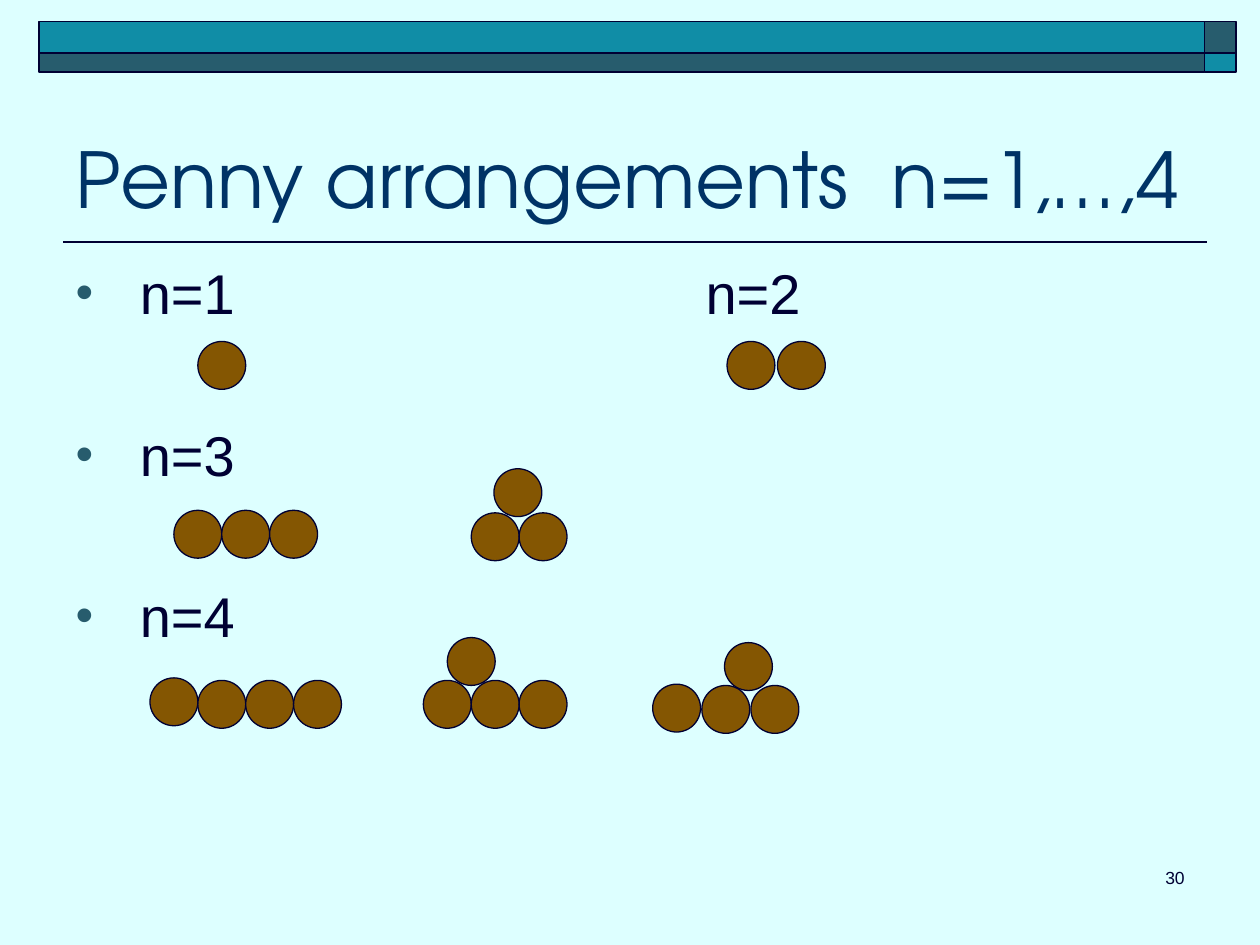
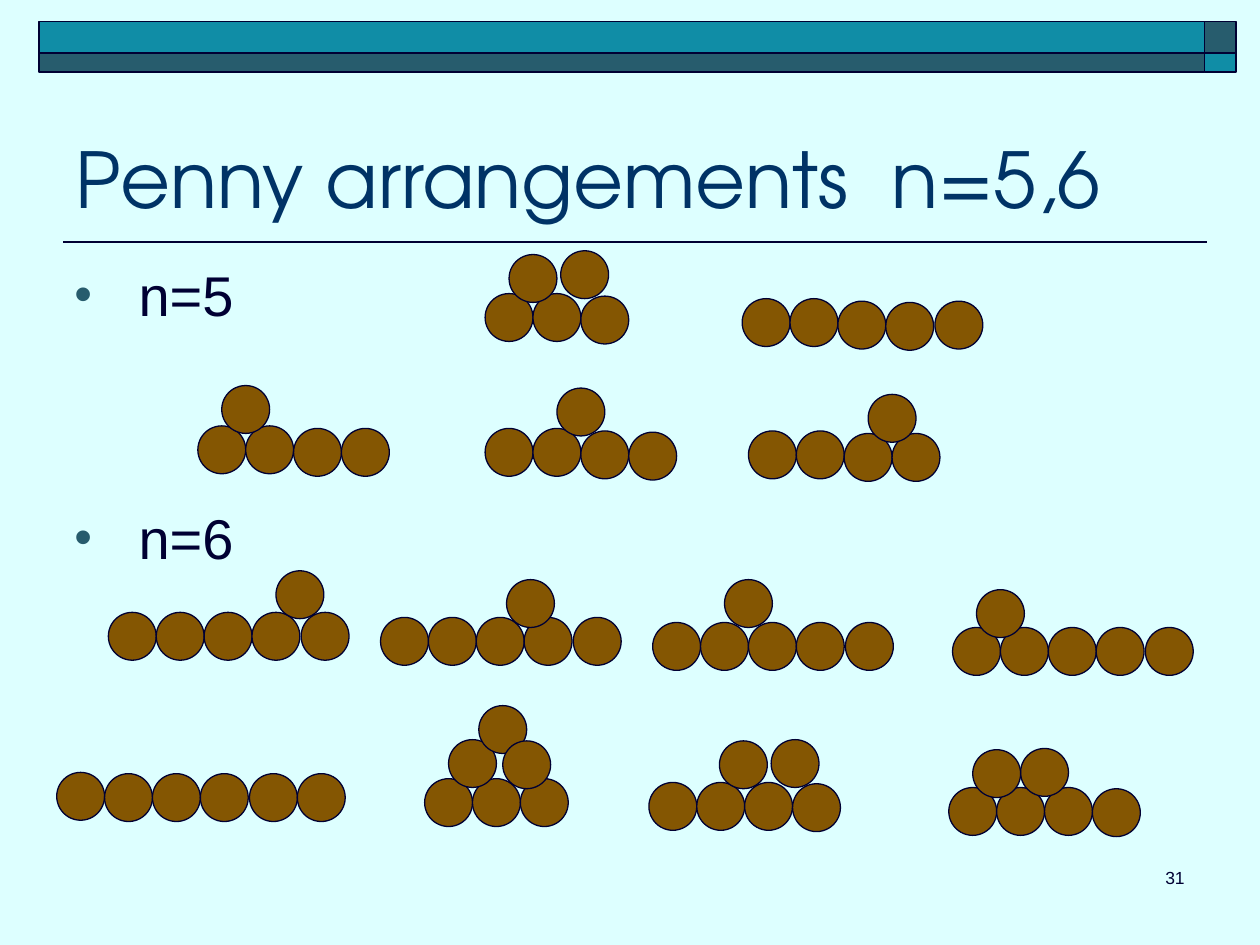
from dataclasses import dataclass

from lxml import etree
from pptx import Presentation
from pptx.dml.color import RGBColor
from pptx.enum.shapes import MSO_CONNECTOR, MSO_SHAPE
from pptx.enum.text import MSO_ANCHOR, MSO_AUTO_SIZE, PP_ALIGN
from pptx.oxml.ns import qn
from pptx.util import Pt

RECTANGLE = MSO_SHAPE.RECTANGLE
OVAL = MSO_SHAPE.OVAL
STRAIGHT = MSO_CONNECTOR.STRAIGHT
BOTTOM = MSO_ANCHOR.BOTTOM
TOP = MSO_ANCHOR.TOP
LEFT = PP_ALIGN.LEFT
RIGHT = PP_ALIGN.RIGHT
NO_FIT = MSO_AUTO_SIZE.NONE
TITLE_AND_CONTENT = 1
EMU_PER_PX = 9144


@dataclass(frozen=True)
class Theme:
    background: str = "DDFFFF"
    ink: str = "000033"
    title: str = "003366"
    bright: str = "108DA6"
    dark: str = "275C6D"
    penny: str = "845602"
    title_font: str = "TeX Gyre Adventor"
    body_font: str = "Arial"
    title_size: int = 44
    body_size: int = 32
    number_size: int = 10
    frame_line: float = 1
    penny_line: float = 0.75


@dataclass(frozen=True)
class Box:
    left: int
    top: int
    width: int
    height: int


@dataclass(frozen=True)
class Arrangement:
    left: int
    top: int
    drops: tuple
    raised: tuple = ()
    four_gaps: int = 153


THEME = Theme()
PAGE = Box(0, 0, 1000, 750)
BAND = Box(31, 17, 950, 40)
RULE = Box(50, 192, 908, 0)
TITLE = Box(50, 58, 923, 125)
FIELD = Box(50, 200, 900, 470)
NUMBER = Box(742, 683, 208, 50)
CORNER = 25
PENNY = 38
INDENT = 51
SECOND_COLUMN = 500
BODY_TOP_MARGIN = 5

SMALL_ARRANGEMENTS = (
    Arrangement(107, 71, (0,)),
    Arrangement(527, 71, (0, 0), four_gaps=160),
    Arrangement(88, 205, (0, 0, 0)),
    Arrangement(324, 207, (0, 0), ((18, -35),)),
    Arrangement(69, 338, (0, 2, 2, 2)),
    Arrangement(286, 340, (0, 0, 0), ((19, -34),)),
    Arrangement(468, 343, (0, 1, 1), ((57, -33),), four_gaps=156),
)
LARGE_ARRANGEMENTS = (
    Arrangement(335, 33, (0, 0, 2), ((60, -34), (19, -31))),
    Arrangement(539, 37, (0, 0, 2, 3, 2)),
    Arrangement(107, 138, (0, 0, 2, 2), ((19, -32),)),
    Arrangement(335, 140, (0, 0, 2, 3), ((57, -32),)),
    Arrangement(544, 142, (0, 0, 2, 2), ((95, -29),)),
    Arrangement(36, 286, (0, 0, 0, 0, 0), ((133, -33),)),
    Arrangement(252, 290, (0, 0, 0, 0, 0), ((100, -30),)),
    Arrangement(468, 294, (0, 0, 0, 0, 0), ((57, -34),)),
    Arrangement(706, 298, (0, 0, 0, 0, 0), ((19, -30),)),
    Arrangement(-5, 413, (0, 1, 1, 1, 1, 1)),
    Arrangement(287, 418, (0, 0, 0), ((19, -31), (43, -58), (62, -30))),
    Arrangement(465, 421, (0, 0, 0, 1), ((97, -34), (56, -33))),
    Arrangement(703, 425, (0, 0, 0, 1), ((57, -31), (19, -30))),
)


def px(length):
    return length * EMU_PER_PX


def edges(box):
    return px(box.left), px(box.top), px(box.width), px(box.height)


def color(code):
    return RGBColor.from_string(code)


def move(shape, box):
    shape.left, shape.top, shape.width, shape.height = edges(box)


def format_spans(para, font_name, size, code):
    for span in para.runs:
        span.font.name = font_name
        span.font.size = Pt(size)
        span.font.color.rgb = color(code)


def add_solid(page, kind, box, fill, line_width):
    shape = page.shapes.add_shape(kind, *edges(box))
    shape.shadow.inherit = False
    shape.fill.solid()
    shape.fill.fore_color.rgb = color(fill)
    shape.line.color.rgb = color(THEME.ink)
    shape.line.width = Pt(line_width)


def add_band(page, box):
    long_side = box.width - CORNER
    columns = ((box.left, long_side), (box.left + long_side, CORNER))
    rows = ((box.top, CORNER), (box.top + CORNER, box.height - CORNER))
    for row, (top, height) in enumerate(rows):
        for column, (left, width) in enumerate(columns):
            fill = THEME.bright if row == column else THEME.dark
            add_solid(page, RECTANGLE, Box(left, top, width, height), fill, THEME.frame_line)


def add_rule(page, box):
    left, top, width, height = edges(box)
    rule = page.shapes.add_connector(STRAIGHT, left, top, left + width, top + height)
    rule.line.color.rgb = color(THEME.ink)
    rule.line.width = Pt(THEME.frame_line)
    etree.SubElement(rule._element.spPr, qn("a:effectLst"))


def fill_title(page, box, text):
    title = page.shapes.title
    move(title, box)
    frame = title.text_frame
    frame.text = text
    frame.auto_size = NO_FIT
    frame.vertical_anchor = BOTTOM
    para = frame.paragraphs[0]
    para.alignment = LEFT
    format_spans(para, THEME.title_font, THEME.title_size, THEME.title)


def add_bullet(para):
    properties = para._p.get_or_add_pPr()
    properties.set("marL", str(px(INDENT)))
    properties.set("indent", str(-px(INDENT)))
    bullet_color = etree.SubElement(properties, qn("a:buClr"))
    etree.SubElement(bullet_color, qn("a:srgbClr"), val=THEME.dark)
    etree.SubElement(properties, qn("a:buSzPct"), val="90000")
    etree.SubElement(properties, qn("a:buFont"), typeface=THEME.body_font)
    etree.SubElement(properties, qn("a:buChar"), char="•")
    tabs = etree.SubElement(properties, qn("a:tabLst"))
    etree.SubElement(tabs, qn("a:tab"), pos=str(px(SECOND_COLUMN)), algn="l")


def fill_labels(page, box, labels, gap):
    body = page.placeholders[1]
    move(body, box)
    frame = body.text_frame
    frame.text = "\n".join(labels)
    frame.auto_size = NO_FIT
    frame.vertical_anchor = TOP
    frame.margin_top = px(BODY_TOP_MARGIN)
    for index, para in enumerate(frame.paragraphs):
        add_bullet(para)
        para.space_before = Pt(gap if index else 0)
        format_spans(para, THEME.body_font, THEME.body_size, THEME.ink)


def add_number(page, box, number):
    frame = page.shapes.add_textbox(*edges(box)).text_frame
    frame.word_wrap = True
    frame.text = str(number)
    para = frame.paragraphs[0]
    para.alignment = RIGHT
    format_spans(para, THEME.body_font, THEME.number_size, THEME.ink)


def add_pennies(page, field, arrangement):
    base = [(arrangement.four_gaps * index // 4, drop)
            for index, drop in enumerate(arrangement.drops)]
    for across, down in (*base, *arrangement.raised):
        left = field.left + arrangement.left + across
        top = field.top + arrangement.top + down
        add_solid(page, OVAL, Box(left, top, PENNY, PENNY), THEME.penny, THEME.penny_line)


def add_penny_page(deck, number, title, labels, label_box, label_gap, arrangements):
    page = deck.slides.add_slide(deck.slide_layouts[TITLE_AND_CONTENT])
    add_rule(page, RULE)
    add_band(page, BAND)
    fill_title(page, TITLE, title)
    fill_labels(page, label_box, labels, label_gap)
    add_number(page, NUMBER, number)
    for arrangement in arrangements:
        add_pennies(page, FIELD, arrangement)


def main():
    deck = Presentation()
    deck.slide_width, deck.slide_height = px(PAGE.width), px(PAGE.height)
    background = deck.slide_master.background.fill
    background.solid()
    background.fore_color.rgb = color(THEME.background)
    add_penny_page(deck, 30, "Penny arrangements  n=1,…,4", ("n=1\tn=2", "n=3", "n=4"),
                   FIELD, 54, SMALL_ARRANGEMENTS)
    add_penny_page(deck, 31, "Penny arrangements  n=5,6", ("n=5", "n=6"),
                   Box(49, 202, 900, 470), 100, LARGE_ARRANGEMENTS)
    deck.save("out.pptx")


if __name__ == "__main__":
    main()
